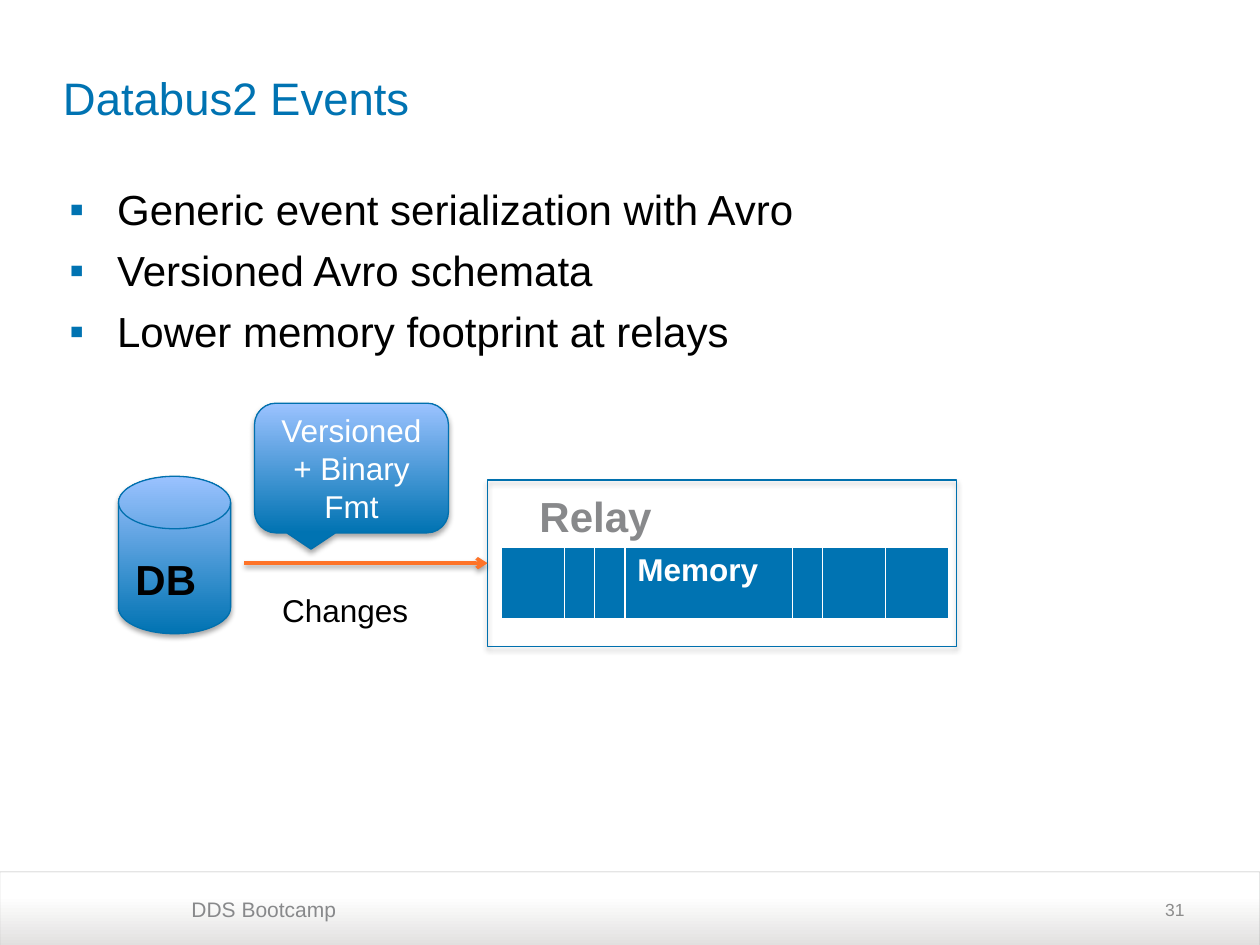
from lxml import etree
from pptx import Presentation
from pptx.dml.color import RGBColor
from pptx.enum.shapes import MSO_CONNECTOR, MSO_SHAPE
from pptx.enum.text import MSO_ANCHOR, PP_ALIGN
from pptx.oxml import parse_xml
from pptx.oxml.ns import nsdecls, qn
from pptx.util import Inches, Pt

BLUE = RGBColor(0x00, 0x73, 0xB2)
EDGE_BLUE = RGBColor(0x00, 0x70, 0xAE)
LIGHT_BLUE = RGBColor(0x9B, 0xC2, 0xFF)
ORANGE = RGBColor(0xFE, 0x73, 0x28)
GRAY = RGBColor(0x88, 0x89, 0x8B)
NUMBER_GRAY = RGBColor(0x8C, 0x8C, 0x8C)
LINE_GRAY = RGBColor(0xA6, 0xA6, 0xA6)
FOOTER_GRAY = RGBColor(0xE1, 0xE0, 0xDF)
BLACK = RGBColor(0, 0, 0)
WHITE = RGBColor(0xFF, 0xFF, 0xFF)


def add_text(tf, text, size, color=BLACK, bold=False, align=PP_ALIGN.LEFT,
             anchor=MSO_ANCHOR.TOP, left=0.1, right=0.1, before=0, bullet=None):
    """Fill a text frame with one paragraph for each line of text."""
    tf.word_wrap = True
    tf.vertical_anchor = anchor
    tf.margin_left, tf.margin_right = Inches(left), Inches(right)
    tf.margin_top = tf.margin_bottom = Inches(0.05)
    for i, line in enumerate(text.split("\n")):
        p = tf.add_paragraph() if i else tf.paragraphs[0]
        p.alignment = align
        p.space_before = Pt(before)
        r = p.add_run()
        r.text = line
        r.font.name, r.font.size, r.font.bold = "Arial", Pt(size), bold
        r.font.color.rgb = color
        if bullet:
            pPr = p._p.get_or_add_pPr()
            pPr.set("marL", str(Inches(0.38)))
            pPr.set("indent", str(Inches(-0.38)))
            bu_color = etree.SubElement(pPr, qn("a:buClr"))
            etree.SubElement(bu_color, qn("a:srgbClr"), val=str(BLUE))
            etree.SubElement(pPr, qn("a:buFont"), typeface="Arial")
            etree.SubElement(pPr, qn("a:buChar"), char=bullet)


def style_shape(sp, line_color, width, stops=None, shadow=None):
    """Set line, bottom-to-top gradient (or no fill) and shadow opacity in percent."""
    sp.line.color.rgb, sp.line.width = line_color, Pt(width)
    if stops:
        sp.fill.gradient()
        sp.fill.gradient_angle = 90
        for stop, (position, color) in zip(sp.fill.gradient_stops, stops):
            stop.position, stop.color.rgb = position, color
    elif hasattr(sp, "fill"):
        sp.fill.background()
    spPr = sp._element.spPr
    effects = etree.SubElement(spPr, qn("a:effectLst"))
    if shadow:
        effects.append(parse_xml(
            f'<a:outerShdw {nsdecls("a")} blurRad="{Pt(3.1)}" dist="{Pt(1.8)}" '
            'dir="5400000" rotWithShape="0"><a:srgbClr val="000000">'
            f'<a:alpha val="{shadow * 1000}"/></a:srgbClr></a:outerShdw>'))


prs = Presentation()
prs.slide_width, prs.slide_height = Inches(10), Inches(7.5)
s = prs.slides.add_slide(prs.slide_layouts[6])
shapes = s.shapes

# Footer band
footer = shapes.add_shape(MSO_SHAPE.ROUND_2_SAME_RECTANGLE,
                          Inches(0), Inches(6.92), Inches(10), Inches(0.59))
footer.adjustments[0] = footer.adjustments[1] = 0
style_shape(footer, LINE_GRAY, 0.25, [(0, FOOTER_GRAY), (0.68, WHITE)])
line_color = footer.line._ln.find(".//" + qn("a:srgbClr"))
etree.SubElement(line_color, qn("a:alpha"), val="79000")

# Footer, title, bullets and slide number
MIDDLE = MSO_ANCHOR.MIDDLE
for box, text, size, fmt in [
    ((1.52, 7.07, 3.1, 0.34), "DDS Bootcamp", 12,
     dict(color=GRAY, left=0, before=2.4)),
    ((0.5, 0.22, 9, 1.1), "Databus2 Events", 26,
     dict(color=BLUE, left=0, right=0, anchor=MIDDLE)),
    ((0.55, 1.41, 9, 5.2),
     "Generic event serialization with Avro\n"
     "Versioned Avro schemata\n"
     "Lower memory footprint at relays", 24,
     dict(left=0, before=6, bullet="▪")),
    ((7.17, 7.02, 2.33, 0.4), "31", 10,
     dict(color=NUMBER_GRAY, align=PP_ALIGN.RIGHT, anchor=MIDDLE)),
]:
    tb = shapes.add_textbox(*map(Inches, box))
    add_text(tb.text_frame, text, size, **fmt)

# Database
BLUE_STOPS = [(0, BLUE), (1, LIGHT_BLUE)]
db = shapes.add_shape(MSO_SHAPE.FLOWCHART_MAGNETIC_DISK,
                      Inches(0.94), Inches(3.78), Inches(0.89), Inches(1.25))
style_shape(db, EDGE_BLUE, 0.75, BLUE_STOPS, shadow=35)
tb = shapes.add_textbox(Inches(0.91), Inches(4.34), Inches(0.91), Inches(0.5))
add_text(tb.text_frame, "DB", 24, bold=True, align=PP_ALIGN.CENTER, left=0, before=5)

# Relay memory
widths = [0.5, 0.23, 0.23, 1.33, 0.23, 0.5, 0.5]
frame = shapes.add_table(1, len(widths), Inches(3.98), Inches(4.34),
                         Inches(sum(widths)), Inches(0.58))
table = frame.table
table.rows[0].height = Inches(0.58)
for i, width in enumerate(widths):
    table.columns[i].width = Inches(width)
    cell = table.cell(0, i)
    tcPr = cell._tc.get_or_add_tcPr()
    for side, weight in [("L", 1), ("R", 1), ("T", 1), ("B", 3)]:
        tcPr.append(parse_xml(
            f'<a:ln{side} {nsdecls("a")} w="{Pt(weight)}"><a:solidFill>'
            f'<a:srgbClr val="{WHITE}"/></a:solidFill></a:ln{side}>'))
    cell.fill.solid()
    cell.fill.fore_color.rgb = BLUE
add_text(table.cell(0, 3).text_frame, "Memory", 18, color=WHITE, bold=True)

# Relay
tb = shapes.add_textbox(Inches(3.03), Inches(3.84), Inches(3.49), Inches(0.5))
add_text(tb.text_frame, "Relay", 24, color=GRAY, bold=True,
         align=PP_ALIGN.CENTER, left=0, before=5)
relay = shapes.add_shape(MSO_SHAPE.RECTANGLE,
                         Inches(3.87), Inches(3.81), Inches(3.72), Inches(1.32))
style_shape(relay, EDGE_BLUE, 0.75, shadow=35)

# Changes flowing from database to relay
arrow = shapes.add_connector(MSO_CONNECTOR.STRAIGHT,
                             Inches(1.94), Inches(4.47), Inches(3.87), Inches(4.47))
style_shape(arrow, ORANGE, 2, shadow=38)
etree.SubElement(arrow.line._ln, qn("a:tailEnd"), type="arrow")
tb = shapes.add_textbox(Inches(2.14), Inches(4.64), Inches(1.42), Inches(0.4))
add_text(tb.text_frame, "Changes", 18)

callout = shapes.add_shape(MSO_SHAPE.ROUNDED_RECTANGULAR_CALLOUT,
                           Inches(2.02), Inches(3.2), Inches(1.54), Inches(1.03))
style_shape(callout, EDGE_BLUE, 0.75, BLUE_STOPS, shadow=35)
add_text(callout.text_frame, "Versioned + Binary Fmt", 18, color=WHITE,
         align=PP_ALIGN.CENTER, anchor=MIDDLE)

prs.save("out.pptx")
